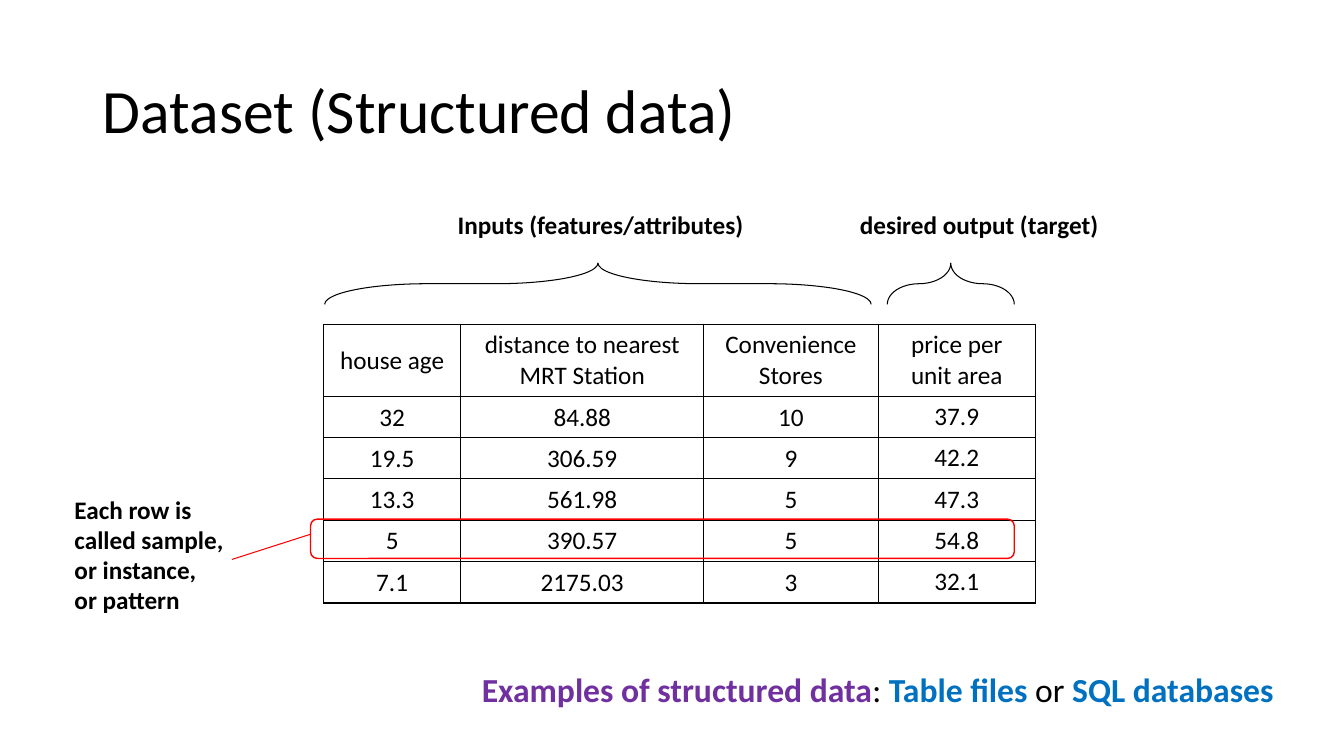
"""Build the slide that explains the parts of a structured dataset."""
from lxml.etree import SubElement
from pptx import Presentation
from pptx.dml.color import RGBColor
from pptx.enum.shapes import MSO_CONNECTOR, MSO_SHAPE
from pptx.enum.text import MSO_ANCHOR, PP_ALIGN
from pptx.oxml import parse_xml
from pptx.oxml.ns import nsdecls, qn
from pptx.util import Inches, Pt

BLACK = RGBColor(0x00, 0x00, 0x00)
RED = RGBColor(0xFF, 0x00, 0x00)
PURPLE = RGBColor(0x70, 0x30, 0xA0)
BLUE = RGBColor(0x00, 0x70, 0xC0)
FONT = "Calibri"

TITLE = "Dataset (Structured data)"
HEADINGS = ["house age", "distance to nearest MRT Station",
            "Convenience Stores", "price per unit area"]
SAMPLES = [
    ["32", "84.88", "10", "37.9"],
    ["19.5", "306.59", "9", "42.2"],
    ["13.3", "561.98", "5", "47.3"],
    ["5", "390.57", "5", "54.8"],
    ["7.1", "2175.03", "3", "32.1"],
]
LABELS = [
    (["Inputs (features/attributes)"], (4.44, 2.03, 3.22, 0.4)),
    (["desired output (target)"], (8.43, 2.03, 2.64, 0.4)),
    (["Each row is called sample,", "or instance,", "or pattern"],
     (0.64, 4.85, 1.92, 1.31)),
]
EXAMPLES = [("Examples of structured data", PURPLE, True), (": ", BLACK, False),
            ("Table files", BLUE, True), (" or ", BLACK, False),
            ("SQL databases", BLUE, True)]

SLIDE_WIDTH, SLIDE_HEIGHT = 13.33, 7.5
TABLE_LEFT, TABLE_TOP = 3.21, 3.22
COLUMNS = [1.36, 2.41, 1.73, 1.56]
HEADING_ROW, SAMPLE_ROW = 0.7, 0.41
MARKED_SAMPLE = 3
BRACE_TOP, BRACE_DEPTH = 2.61, 0.41
BRACE_SPANS = [(3.22, 8.64), (8.8, 10.06)]
MARK_LEFT, MARK_WIDTH, MARK_HEIGHT = 3.08, 6.98, 0.39
POINTER_START, POINTER_END = (MARK_LEFT, 5.3), (2.3, 5.55)


def inches(*lengths):
    return [Inches(length) for length in lengths]


def write(frame, paragraphs, size=18, bold=False, color=BLACK, align=PP_ALIGN.LEFT,
          anchor=MSO_ANCHOR.TOP, spacing=None):
    """Fill a text frame with paragraphs of plain text or of (text, color, bold) runs."""
    frame.word_wrap = True
    frame.vertical_anchor = anchor
    for index, content in enumerate(paragraphs):
        paragraph = frame.add_paragraph() if index else frame.paragraphs[0]
        paragraph.alignment = align
        paragraph.line_spacing = spacing
        runs = [(content, color, bold)] if isinstance(content, str) else content
        for text, run_color, run_bold in runs:
            run = paragraph.add_run()
            run.text = text
            run.font.name, run.font.size = FONT, Pt(size)
            run.font.bold, run.font.color.rgb = run_bold, run_color


def add_label(slide, paragraphs, box, **text_format):
    write(slide.shapes.add_textbox(*inches(*box)).text_frame, paragraphs, **text_format)


def add_outline(slide, preset, box, color, width, adjustment):
    outline = slide.shapes.add_shape(preset, *inches(*box))
    outline.shadow.inherit = False
    outline.fill.background()
    outline.line.color.rgb, outline.line.width = color, Pt(width)
    outline.adjustments[0] = adjustment
    return outline


def add_brace(slide, start, end):
    span = end - start
    box = ((start + end - BRACE_DEPTH) / 2, BRACE_TOP + (BRACE_DEPTH - span) / 2,
           BRACE_DEPTH, span)
    add_outline(slide, MSO_SHAPE.LEFT_BRACE, box, BLACK, 0.75, 2.47).rotation = 90


def set_borders(cell, widths):
    properties = cell._tc.get_or_add_tcPr()
    for index, (side, width) in enumerate(zip("LRTB", widths)):
        properties.insert(index, parse_xml(
            f'<a:ln{side} {nsdecls("a")} w="{Pt(width)}"><a:solidFill>'
            f'<a:srgbClr val="{BLACK}"/></a:solidFill></a:ln{side}>'))


def add_dataset(slide):
    rows = [HEADINGS] + SAMPLES
    heights = [HEADING_ROW] + [SAMPLE_ROW] * len(SAMPLES)
    dataset = slide.shapes.add_table(
        len(rows), len(COLUMNS),
        *inches(TABLE_LEFT, TABLE_TOP, sum(COLUMNS), sum(heights))).table
    dataset.first_row = dataset.horz_banding = False
    for column, width in zip(dataset.columns, COLUMNS):
        column.width = Inches(width)
    for r, (values, height) in enumerate(zip(rows, heights)):
        dataset.rows[r].height = Inches(height)
        for c, value in enumerate(values):
            cell = dataset.cell(r, c)
            cell.fill.background()
            if r and c < len(COLUMNS) - 1:
                cell.margin_left = cell.margin_right = cell.margin_top = Inches(0.01)
                cell.margin_bottom = 0
            write(cell.text_frame, [value], align=PP_ALIGN.CENTER)
            cell.vertical_anchor = MSO_ANCHOR.MIDDLE
            top = 0.75 if r else 1.5
            bottom = 1.5 if r == len(rows) - 1 else 0.75
            set_borders(cell, (0.75, 0.75, top, bottom))


def add_sample_mark(slide):
    top = TABLE_TOP + HEADING_ROW + MARKED_SAMPLE * SAMPLE_ROW
    add_outline(slide, MSO_SHAPE.ROUNDED_RECTANGLE,
                (MARK_LEFT, top, MARK_WIDTH, MARK_HEIGHT), RED, 1, 0.17)
    pointer = slide.shapes.add_connector(
        MSO_CONNECTOR.STRAIGHT, *inches(*POINTER_START, *POINTER_END))
    pointer.line.color.rgb, pointer.line.width = RED, Pt(0.75)
    SubElement(pointer._element.spPr, qn("a:effectLst"))


def main():
    deck = Presentation()
    deck.slide_width, deck.slide_height = inches(SLIDE_WIDTH, SLIDE_HEIGHT)
    slide = deck.slides.add_slide(deck.slide_layouts[5])
    title = slide.shapes.title
    title.left, title.top, title.width, title.height = inches(0.92, 0.4, 11.5, 1.45)
    write(title.text_frame, [TITLE], size=44, anchor=MSO_ANCHOR.MIDDLE, spacing=0.9)
    add_dataset(slide)
    for start, end in BRACE_SPANS:
        add_brace(slide, start, end)
    for paragraphs, box in LABELS:
        add_label(slide, paragraphs, box, bold=True)
    add_sample_mark(slide)
    add_label(slide, [EXAMPLES], (4.68, 6.59, 8.65, 0.5), size=24)
    deck.save("out.pptx")


if __name__ == "__main__":
    main()
